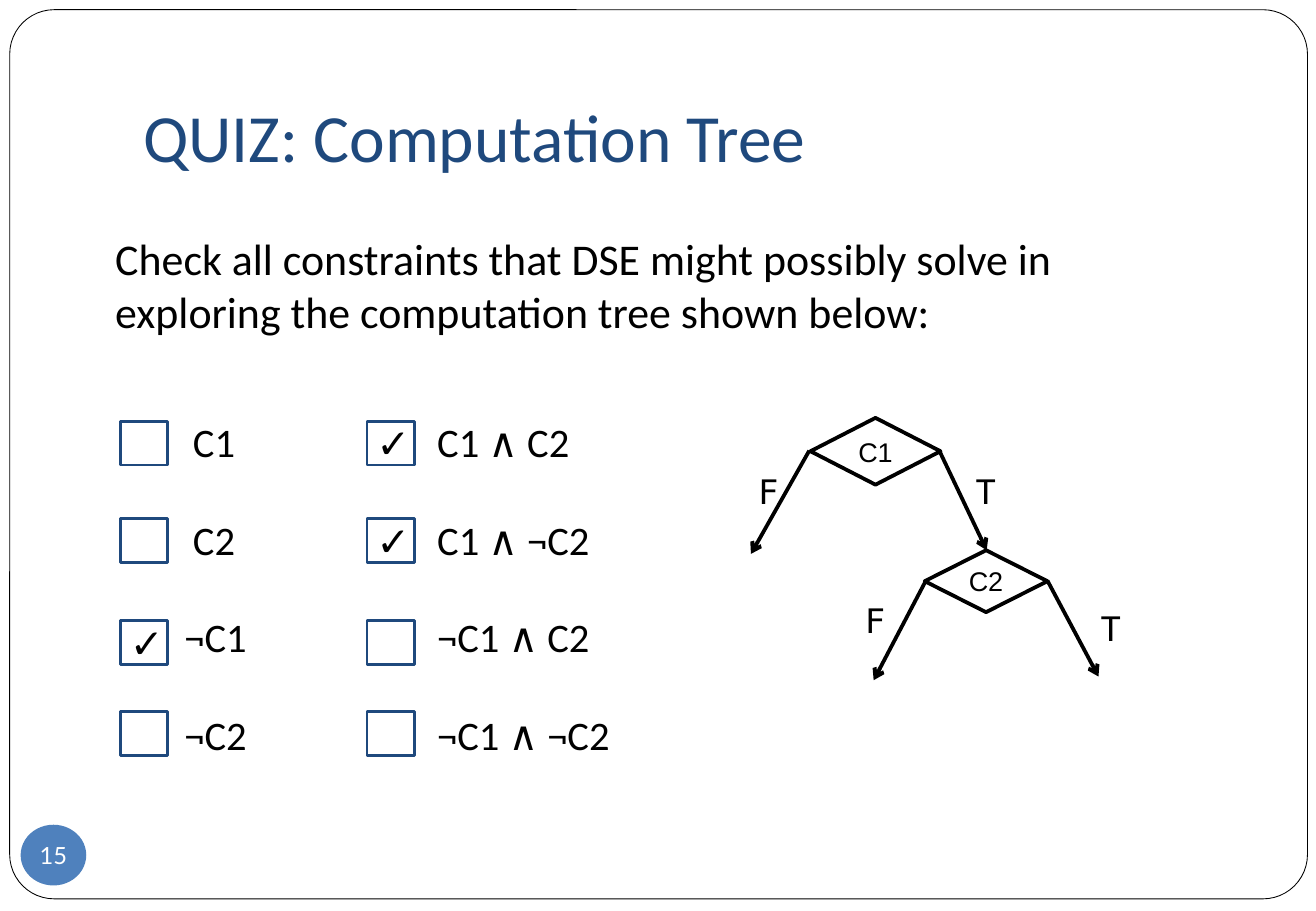
import pptx
import pptx.util
import pptx.dml.color
import pptx.enum.shapes
import pptx.enum.text
import pptx.oxml
import pptx.oxml.ns

PX = 9144
THEME = {
    "ink": "000000", "paper": "FFFFFF", "navy": "1F497D", "badge": "4F81BD",
    "body_font": "Calibri", "node_font": "Arial", "branch_font": "DejaVu Sans Mono", "badge_font": "Lato",
    "title": 40, "question": 26, "option": 24, "branch": 20, "node": 16, "number": 14,
}
SHAPE = pptx.enum.shapes.MSO_SHAPE
ANCHOR = pptx.enum.text.MSO_ANCHOR
ALIGN = pptx.enum.text.PP_ALIGN


def add_box(bounds, kind=None, fill=None, line=None, width=0):
    area = [value * PX for value in bounds]
    if kind is None:
        return page.shapes.add_textbox(*area)
    shape = page.shapes.add_shape(kind, *area)
    shape.shadow.inherit = False
    if fill:
        shape.fill.solid()
        shape.fill.fore_color.rgb = pptx.dml.color.RGBColor.from_string(THEME[fill])
    else:
        shape.fill.background()
    if line:
        shape.line.color.rgb = pptx.dml.color.RGBColor.from_string(THEME[line])
        shape.line.width = pptx.util.Pt(width)
    else:
        shape.line.fill.background()
    return shape


def write(box, lines, size, font="body_font", color="ink", anchor=ANCHOR.MIDDLE,
          align=ALIGN.LEFT, insets=(10, 10), gap=0, wrap=True):
    frame = box.text_frame
    frame.word_wrap = wrap
    frame.vertical_anchor = anchor
    frame.margin_left = frame.margin_right = insets[0] * PX
    frame.margin_top = frame.margin_bottom = insets[1] * PX
    for index, text in enumerate(lines):
        para = frame.add_paragraph() if index else frame.paragraphs[0]
        para.alignment = align
        if index:
            para.space_before = pptx.util.Pt(gap)
        span = para.add_run()
        span.text = text
        span.font.size = pptx.util.Pt(THEME[size])
        span.font.name = THEME[font]
        span.font.color.rgb = pptx.dml.color.RGBColor.from_string(THEME[color])


deck = pptx.Presentation()
deck.slide_width = 1083 * PX
deck.slide_height = 750 * PX
page = deck.slides.add_slide(deck.slide_layouts[6])

border = add_box((8, 8, 1068, 732), SHAPE.ROUNDED_RECTANGLE, "paper", "ink", 0.5)
border.adjustments[0] = 0.05

write(add_box((108, 30, 921, 125)), ["QUIZ: Computation Tree"], "title", color="navy", anchor=ANCHOR.BOTTOM)
write(add_box((85, 167, 829, 134)),
      ["Check all constraints that DSE might possibly solve in exploring the computation tree shown below:"],
      "question")

row_tops = [347, 427, 511, 586]
option_columns = [
    (99, 142, 133, ["C1", "C2", "¬C1", "¬C2"], [False, False, True, False]),
    (302, 350, 184, ["C1 ∧ C2", "C1 ∧ ¬C2", "¬C1 ∧ C2", "¬C1 ∧ ¬C2"], [True, True, False, False]),
]
for box_left, label_left, label_width, labels, checks in option_columns:
    options = add_box((label_left, 336, label_width, 296))
    write(options, labels, "option", gap=29)
    for top, checked in zip(row_tops, checks):
        add_box((box_left, top, 39, 36), SHAPE.RECTANGLE, line="navy", width=1.5)
        if checked:
            write(add_box((box_left - 2, top - 5, 44, 45)), ["✓"], "option", align=ALIGN.CENTER)
    if label_left == 142:
        for para in options.text_frame.paragraphs[:2]:
            para._p.get_or_add_pPr().set("marL", str(7 * PX))

for name, bounds in [("C1", (667, 344, 107, 55)), ("C2", (761, 453, 101, 51))]:
    node = add_box(bounds, SHAPE.FLOWCHART_DECISION, "paper", "ink", 2.25)
    write(node, [name], "node", "node_font", align=ALIGN.CENTER, insets=(0, 10))

branches = [
    ("F", (614, 378), (666, 371), (618, 456)),
    ("T", (793, 378), (773, 371), (812, 453)),
    ("F", (702, 484), (762, 478), (719, 560)),
    ("T", (896, 490), (862, 478), (904, 557)),
]
for letter, corner, start, end in branches:
    arrow = page.shapes.add_connector(pptx.enum.shapes.MSO_CONNECTOR.STRAIGHT,
                                      *[value * PX for value in start + end])
    arrow.line.color.rgb = pptx.dml.color.RGBColor.from_string(THEME["ink"])
    arrow.line.width = pptx.util.Pt(2.25)
    outline = arrow.line._get_or_add_ln()
    outline.append(pptx.oxml.parse_xml(f'<a:tailEnd {pptx.oxml.ns.nsdecls("a")} type="arrow"/>'))
    arrow._element.spPr.append(pptx.oxml.parse_xml(f'<a:effectLst {pptx.oxml.ns.nsdecls("a")}/>'))
    write(add_box((*corner, 34, 47)), [letter], "branch", "branch_font", anchor=ANCHOR.TOP)

badge = add_box((17, 679, 54, 50), SHAPE.OVAL, "badge")
write(badge, ["15"], "number", "badge_font", "paper", align=ALIGN.CENTER, insets=(0, 0), wrap=False)

deck.save("out.pptx")
